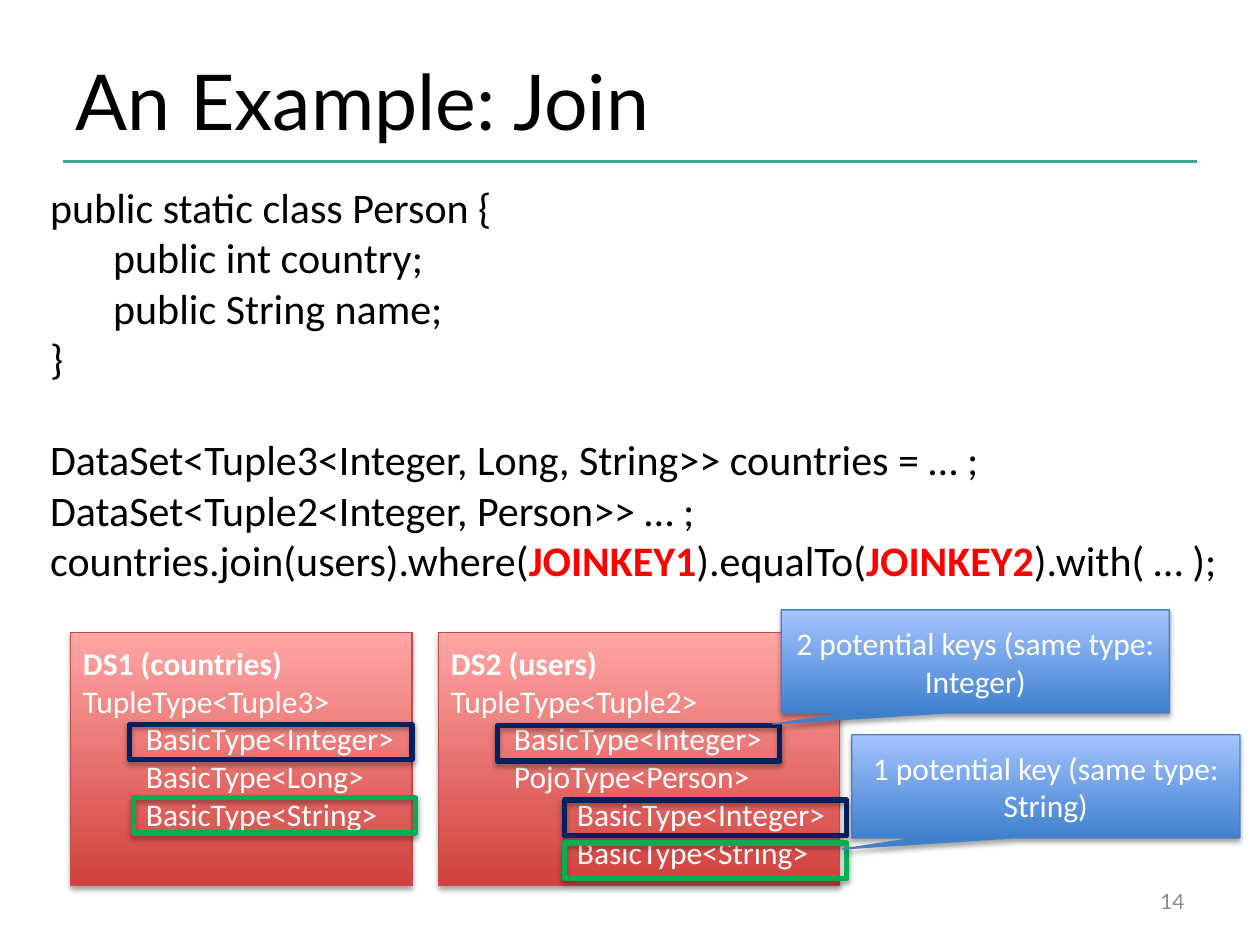
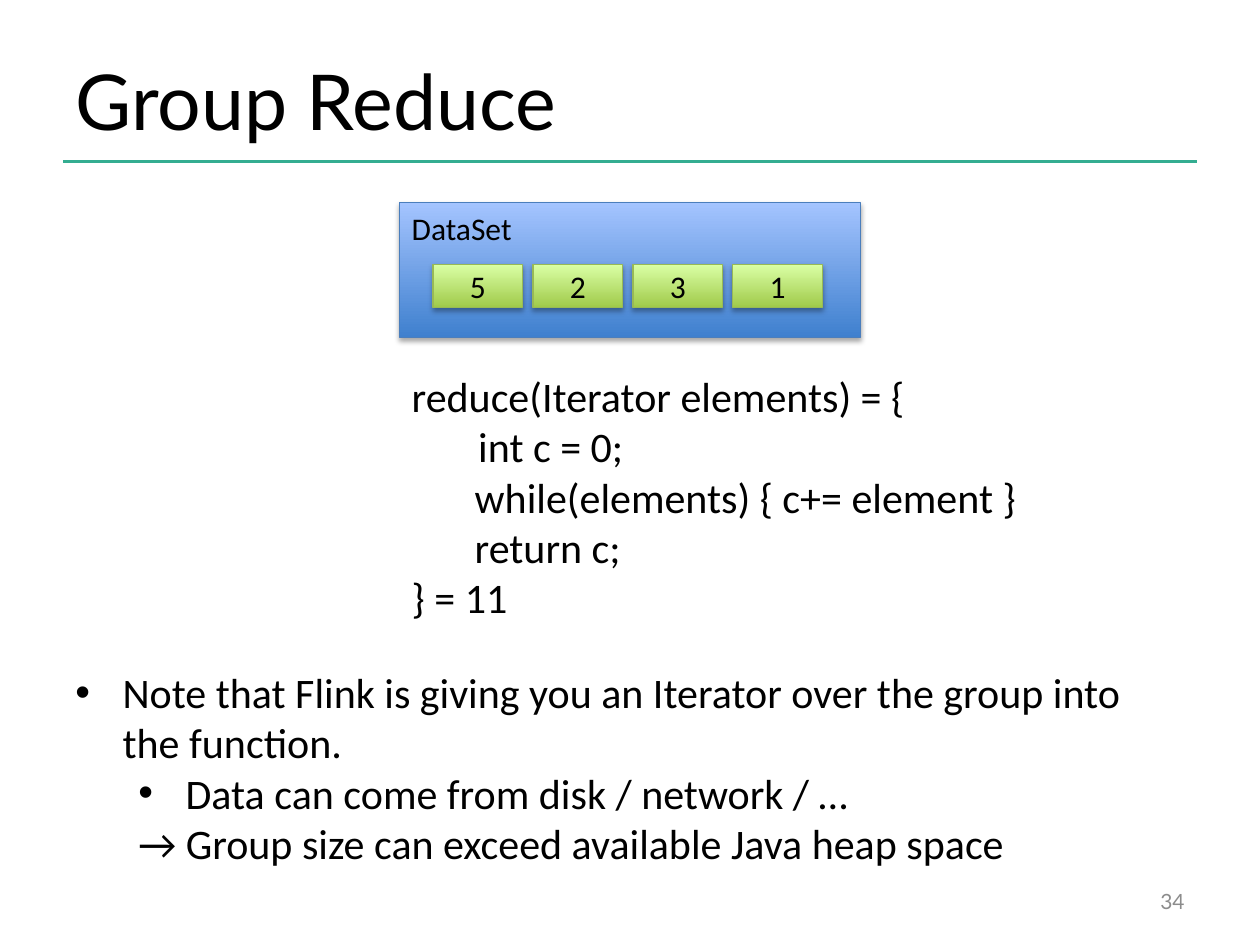
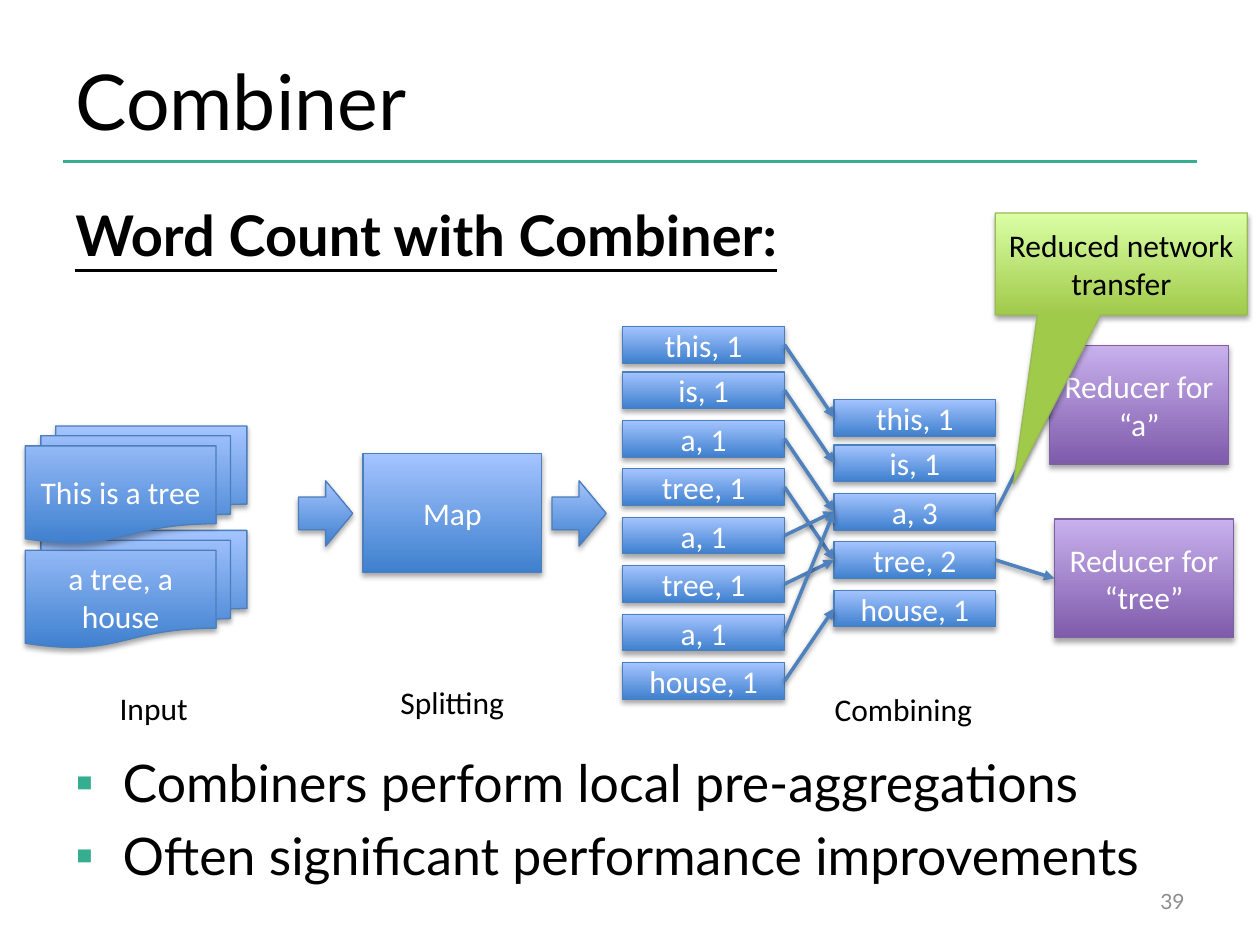
"""Build three slides on joins, group reduce and combiners."""
import lxml.etree
import pptx
import pptx.dml.color
import pptx.enum.shapes
import pptx.enum.text
import pptx.oxml.ns
import pptx.util

Pt = pptx.util.Pt
RGB = pptx.dml.color.RGBColor
SHAPE = pptx.enum.shapes.MSO_SHAPE
LINE = pptx.enum.shapes.MSO_CONNECTOR.STRAIGHT
ALIGN = pptx.enum.text.PP_ALIGN
ANCHOR = pptx.enum.text.MSO_ANCHOR

BLACK = RGB(0x00, 0x00, 0x00)
WHITE = RGB(0xFF, 0xFF, 0xFF)
GRAY = RGB(0x8C, 0x8C, 0x8C)
TEAL = RGB(0x34, 0xAD, 0x91)
HOT = RGB(0xFF, 0x00, 0x00)
NAVY = RGB(0x00, 0x20, 0x60)
GREEN = RGB(0x00, 0xB0, 0x50)
WIRE = RGB(0x4F, 0x81, 0xBD)
BLUE = (RGB(0x3F, 0x80, 0xCE), RGB(0xA4, 0xC4, 0xFF), RGB(0x4B, 0x7E, 0xBC))
RED = (RGB(0xD1, 0x40, 0x3C), RGB(0xFF, 0xA6, 0xA5), RGB(0xBF, 0x4C, 0x48))
LIME = (RGB(0xA0, 0xCA, 0x4A), RGB(0xDA, 0xFF, 0xA5), RGB(0x98, 0xB9, 0x55))
PLUM = (RGB(0x7F, 0x5B, 0xAB), RGB(0xC8, 0xB0, 0xED), RGB(0x7D, 0x60, 0xA0))

TEXT = "Calibri"
HEAD = "Lato"
ROW = 27.7
TIGHT = 1.7


def node(base, tag, **attrs):
    return lxml.etree.SubElement(base, pptx.oxml.ns.qn(tag), attrs)


def shade(props, alpha=35, dist=1.8):
    effects = node(props, "a:effectLst")
    if alpha:
        cast = node(effects, "a:outerShdw", blurRad=str(Pt(3.1)), dist=str(Pt(dist)),
                    dir="5400000", rotWithShape="0")
        node(node(cast, "a:srgbClr", val="000000"), "a:alpha", val=str(alpha * 1000))


def write(frame, text, size=18, color=BLACK, font=TEXT, bold=False, under=False,
          align=ALIGN.LEFT, left=0, hang=0, mark=None, tint=None, gap=0):
    """Add a paragraph; parts between asterisks are bold and red."""
    para = frame.paragraphs[0]
    if para.runs:
        para = frame.add_paragraph()
    props = para._p.get_or_add_pPr()
    props.set("marL", str(Pt(left)))
    props.set("indent", str(Pt(-hang)))
    if tint:
        node(node(props, "a:buClr"), "a:srgbClr", val=str(tint))
    if mark:
        node(props, "a:buFont", typeface="Arial")
        node(props, "a:buChar", char=mark)
    para.alignment = align
    if gap:
        para.space_before = Pt(gap)
    for i, part in enumerate(text.split("*")):
        run = para.add_run()
        run.text = part
        run.font.name = font
        run.font.size = Pt(size)
        run.font.bold = bold or i % 2 == 1
        run.font.underline = under
        run.font.color.rgb = HOT if i % 2 else color


def area(slide, x, y, w, h, anchor=ANCHOR.TOP):
    frame = slide.shapes.add_textbox(Pt(x), Pt(y), Pt(w), Pt(h)).text_frame
    frame.word_wrap = True
    frame.vertical_anchor = anchor
    return frame


def block(slide, kind, x, y, w, h, look, text="", color=WHITE, tip=()):
    """Add a shaded gradient shape with centred text."""
    shape = slide.shapes.add_shape(kind, Pt(x), Pt(y), Pt(w), Pt(h))
    for i, value in enumerate(tip):
        shape.adjustments[i] = value
    low, high, edge = look
    shape.fill.gradient()
    shape.fill.gradient_angle = 90
    for stop, tone in zip(shape.fill.gradient_stops, (low, high)):
        stop.color.rgb = tone
    shape.line.color.rgb = edge
    shape.line.width = Pt(0.75)
    shade(shape._element.spPr)
    frame = shape.text_frame
    frame.word_wrap = True
    frame.vertical_anchor = ANCHOR.MIDDLE
    if text:
        write(frame, text, color=color, align=ALIGN.CENTER)
    return shape


def panel(slide, x, w, head, lines):
    """Add a red box that lists types, each with its indent level."""
    frame = block(slide, SHAPE.RECTANGLE, x, 361.5, w, 144.7, RED).text_frame
    frame.vertical_anchor = ANCHOR.TOP
    frame.margin_top = Pt(6.4)
    write(frame, head, color=WHITE, bold=True)
    for level, text in lines:
        write(frame, text, color=WHITE, left=36 * level)


def ring(slide, x, y, color):
    shape = slide.shapes.add_shape(SHAPE.RECTANGLE, Pt(x), Pt(y), Pt(161.3), Pt(20.2))
    shape.fill.background()
    shape.line.color.rgb = color
    shape.line.width = Pt(3)
    shade(shape._element.spPr)


def stack(slide, x, top, words):
    """Add a column of word boxes; the first gap is tighter."""
    return [block(slide, SHAPE.FLOWCHART_PROCESS, x, top + ROW * i - TIGHT * (i > 0),
                  92.4, 20.9, BLUE, word) for i, word in enumerate(words)]


def link(slide, start, end):
    wire = slide.shapes.add_connector(LINE, 0, 0, 0, 0)
    wire.begin_connect(start, 3)
    wire.end_connect(end, 1)
    wire.line.color.rgb = WIRE
    wire.line.width = Pt(2)
    node(wire.line._get_or_add_ln(), "a:tailEnd", type="triangle")
    shade(wire._element.spPr, 38, 1.6)


def page(deck, title, number):
    """Add a slide with the shared title, rule and page number."""
    slide = deck.slides.add_slide(deck.slide_layouts[6])
    rule = slide.shapes.add_connector(LINE, Pt(36), Pt(92.2), Pt(684), Pt(92.2))
    rule.line.color.rgb = TEAL
    rule.line.width = Pt(2)
    shade(rule._element.spPr, 0)
    write(area(slide, 36, 21.6, 588, 70.6, ANCHOR.MIDDLE), title, size=44, font=HEAD)
    write(area(slide, 516, 500.5, 168, 28.8, ANCHOR.MIDDLE), str(number), size=12,
          font=HEAD, color=GRAY, align=ALIGN.RIGHT)
    return slide


def join(deck):
    slide = page(deck, "An Example: Join", 14)
    code = area(slide, 21.6, 100.1, 684, 239.8)
    for text, left, gap in (
            ("public static class Person {", 0, 0),
            ("public int country;", 36, 0),
            ("public String name;", 36, 0),
            ("}", 0, 0),
            ("DataSet<Tuple3<Integer, Long, String>> countries = … ;", 0, 29),
            ("DataSet<Tuple2<Integer, Person>> … ;", 0, 0),
            ("countries.join(users).where(*JOINKEY1*).equalTo(*JOINKEY2*).with( … );", 0, 0)):
        write(code, text, size=24, left=left, gap=gap)
    panel(slide, 40.3, 195.1, "DS1 (countries)", (
        (0, "TupleType<Tuple3>"), (1, "BasicType<Integer>"),
        (1, "BasicType<Long>"), (1, "BasicType<String>")))
    panel(slide, 250.6, 229, "DS2 (users)", (
        (0, "TupleType<Tuple2>"), (1, "BasicType<Integer>"), (1, "PojoType<Person>"),
        (2, "BasicType<Integer>"), (2, "BasicType<String>")))
    for x, y, color in ((74.2, 414, NAVY), (284.4, 414.7, NAVY), (322.6, 457.2, NAVY),
                        (76.3, 455.8, GREEN), (322.6, 481.7, GREEN)):
        ring(slide, x, y, color)
    for x, y, text in ((446.4, 348.5, "2 potential keys (same type: Integer)"),
                       (486.7, 419.8, "1 potential key (same type: String)")):
        block(slide, SHAPE.RECTANGULAR_CALLOUT, x, y, 221.8, 59, BLUE, text,
              tip=(-0.523, 0.607))


def reduce(deck):
    slide = page(deck, "Group Reduce", 34)
    block(slide, SHAPE.RECTANGLE, 228.2, 115.9, 263.5, 77, BLUE)
    write(area(slide, 228.2, 115.9, 110.9, 28.8), "DataSet")
    for i, value in enumerate("5231"):
        block(slide, SHAPE.RECTANGLE, 247.5 + 57.1 * i, 151.2, 51.3, 24.5, LIME, value, BLACK)
    code = area(slide, 228.2, 208.1, 387.4, 152.6)
    for text, left in (("reduce(Iterator elements) = {", 0), ("       int c = 0;", 0),
                       ("while(elements) { c+= element }", 36), ("return c;", 36),
                       ("} = 11", 0)):
        write(code, text, size=24, left=left)
    notes = area(slide, 36, 377.3, 648, 123.8)
    write(notes, "Note that Flink is giving you an Iterator over the group into the function.",
          size=24, left=27, hang=27, mark="•")
    write(notes, "Data can come from disk / network / …", size=24, left=63, hang=27, mark="•")
    write(notes, "→ Group size can exceed available Java heap space", size=24, left=36)


def combine(deck):
    slide = page(deck, "Combiner", 39)
    write(area(slide, 36, 110.9, 648, 46.1), "Word Count with Combiner:", size=32,
          font=HEAD, bold=True, under=True)
    for y, text in ((303.1, "a tree, a house"), (243.4, "This is a tree")):
        block(slide, SHAPE.FLOWCHART_MULTIDOCUMENT, 14.4, y, 126.7, 67, BLUE, text)
    block(slide, SHAPE.FLOWCHART_PROCESS, 207.4, 259.2, 102.2, 67.9, BLUE, "Map")
    words = stack(slide, 355.9, 186.5, ("this, 1", "is, 1", "a, 1", "tree, 1",
                                        "a, 1", "tree, 1", "a, 1", "house, 1"))
    sinks = [block(slide, SHAPE.FLOWCHART_PROCESS, x, y, 102.2, 67.9, PLUM, text)
             for x, y, text in ((599.8, 197.3, "Reducer for “a”"),
                                (602.6, 296.6, "Reducer for “tree”"))]
    for x, y, text in ((14.4, 389.5, "Input"), (185, 386.6, "Splitting"),
                       (442.8, 390.2, "Combining")):
        write(area(slide, x, y, 146.9, 29.5, ANCHOR.MIDDLE), text, align=ALIGN.CENTER)
    for x in (170.6, 315.4):
        block(slide, SHAPE.RIGHT_ARROW, x, 274.7, 31, 37.4, BLUE)
    sums = stack(slide, 476.6, 228.2, ("this, 1", "is, 1", "a, 3", "tree, 2", "house, 1"))
    for word, goal in zip(words, (0, 1, 2, 3, 2, 3, 2, 4)):
        link(slide, word, sums[goal])
    for total, sink in zip(sums[2:], sinks):
        link(slide, total, sink)
    notes = area(slide, 36, 425.5, 648, 92.2)
    for text, gap in (("Combiners perform local pre-aggregations", 0),
                      ("Often significant performance improvements", 5.9)):
        write(notes, text, size=29.6, font=HEAD, left=27, hang=27, mark="▪", tint=TEAL, gap=gap)
    block(slide, SHAPE.RECTANGULAR_CALLOUT, 568.8, 121.7, 144, 58.3, LIME,
          "Reduced network transfer", BLACK, tip=(-0.428, 2.153))


def main():
    deck = pptx.Presentation()
    deck.slide_width = Pt(720)
    deck.slide_height = Pt(540)
    join(deck)
    reduce(deck)
    combine(deck)
    deck.save("out.pptx")


if __name__ == "__main__":
    main()
